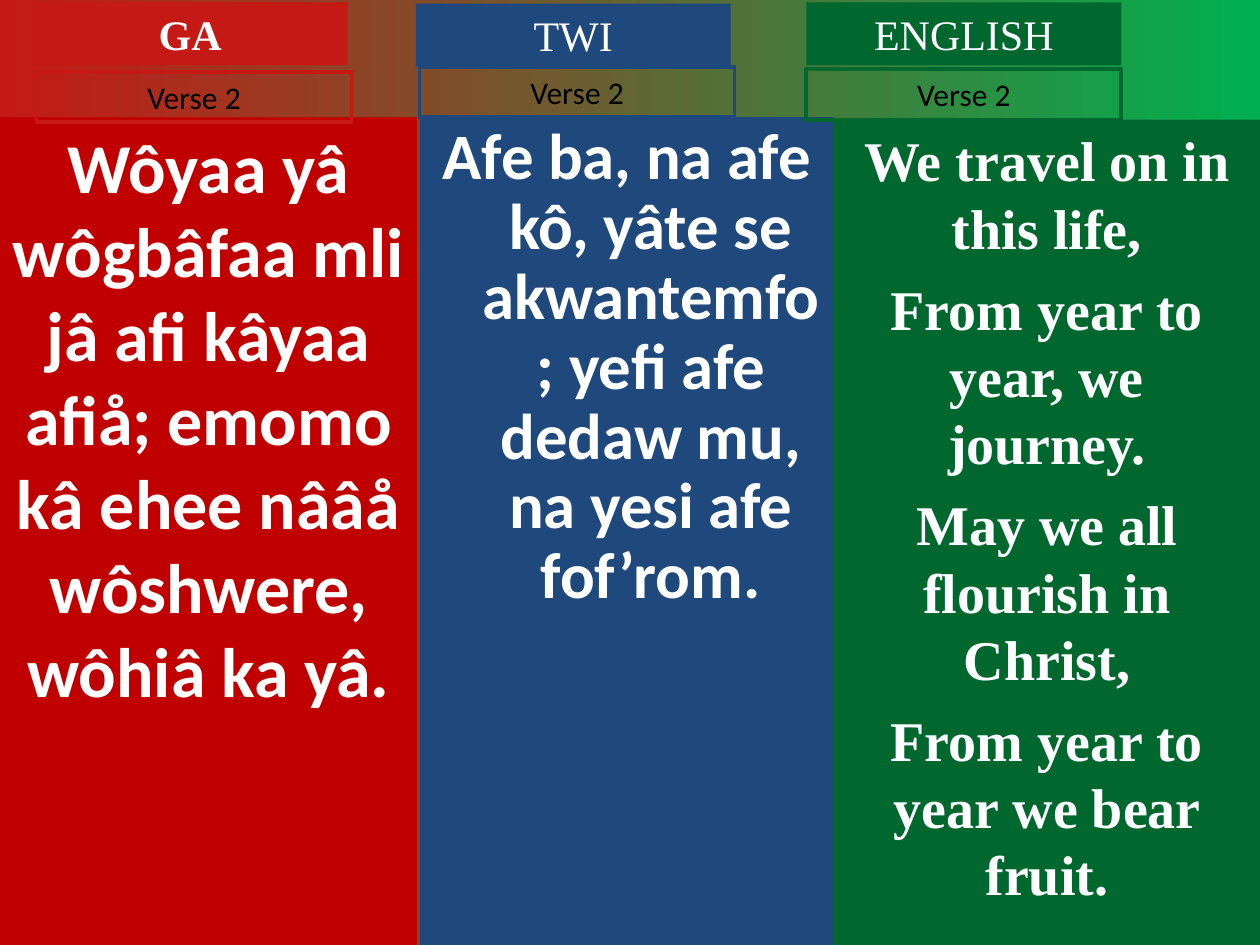
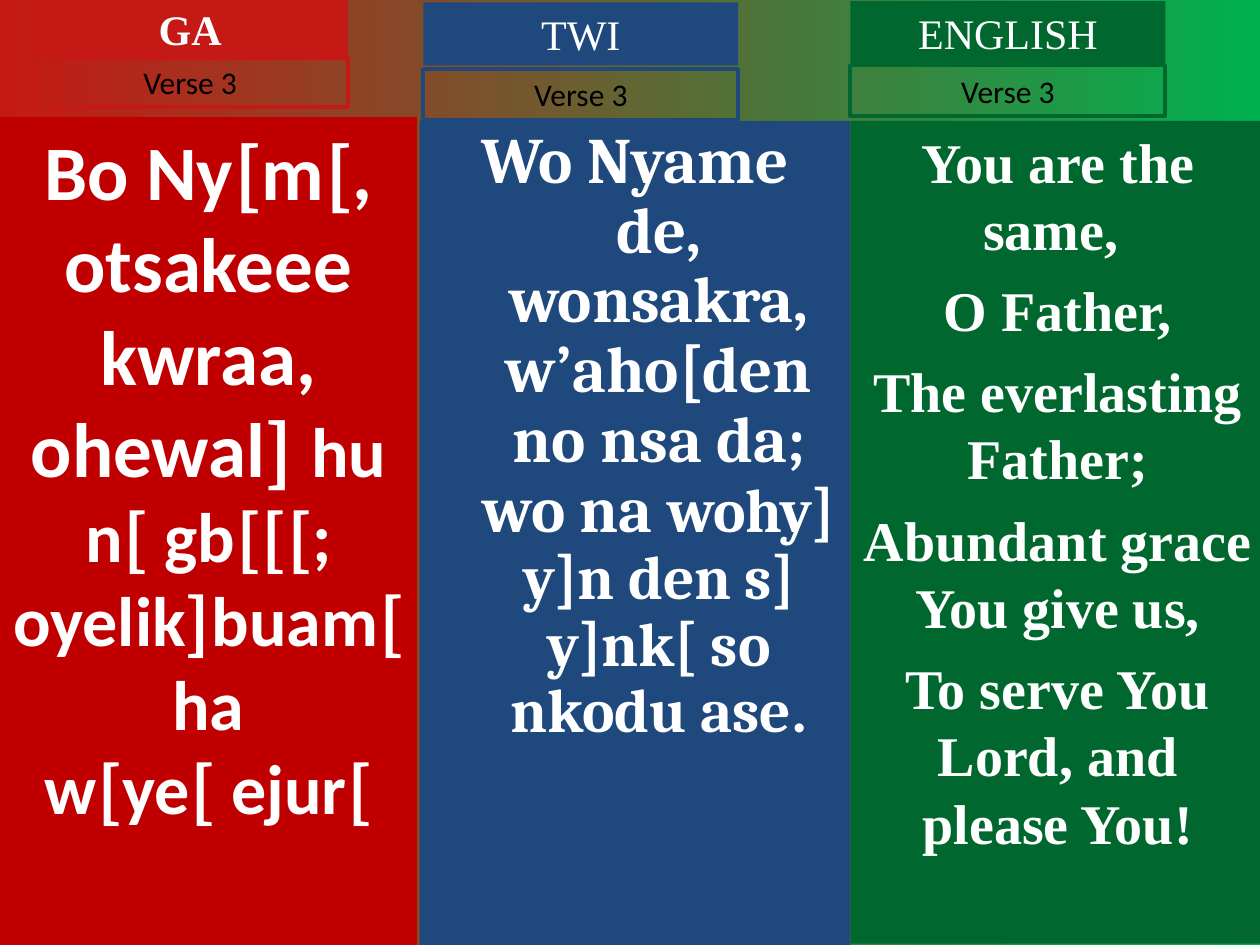
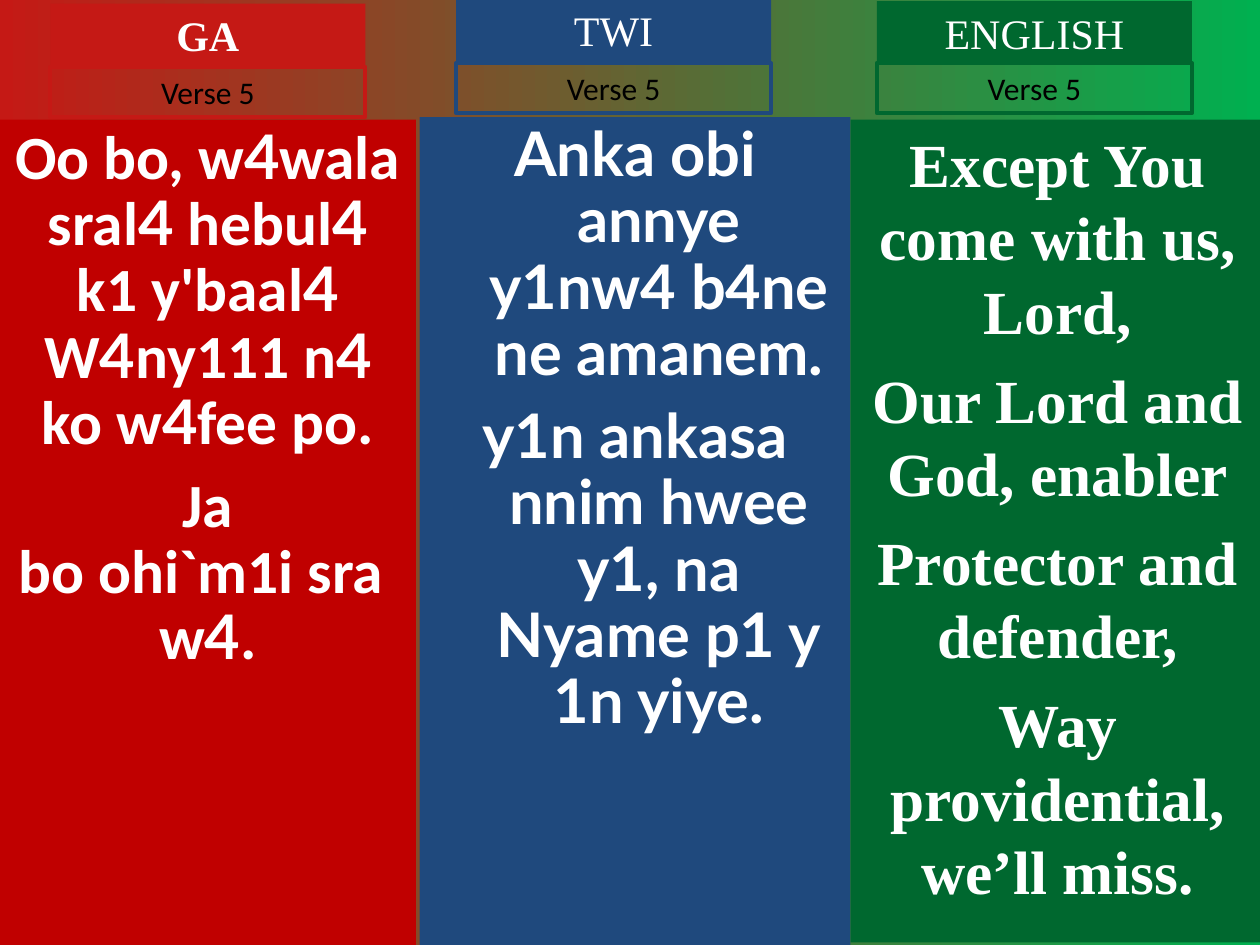
from itertools import groupby

from pptx import Presentation
from pptx.dml.color import RGBColor
from pptx.enum.text import MSO_ANCHOR, MSO_AUTO_SIZE, PP_ALIGN
from pptx.oxml.xmlchemy import OxmlElement
from pptx.util import Inches, Pt

RED = RGBColor(0xC5, 0x19, 0x15)
DARK_RED = RGBColor(0xC0, 0x00, 0x00)
BLUE = RGBColor(0x1F, 0x49, 0x7D)
GREEN = RGBColor(0x00, 0x68, 0x2F)
BRIGHT_GREEN = RGBColor(0x00, 0xB0, 0x50)
WHITE = RGBColor(0xFF, 0xFF, 0xFF)
BLACK = RGBColor(0x00, 0x00, 0x00)

CALIBRI, CAMBRIA, LATO, TIMES = "Calibri", "Cambria", "Lato", "Times New Roman"
NBSP = chr(160)

LANGUAGES = [
    {"name": "GA", "color": RED, "panel": DARK_RED, "bold": True, "hang": 0},
    {"name": "TWI", "color": BLUE, "panel": BLUE, "bold": False, "hang": 0.38},
    {"name": "ENGLISH", "color": GREEN, "panel": GREEN, "bold": False, "hang": 0},
]


def mixed(text, size, symbols, symbol_font):
    return [("".join(chars), size, symbol_font if is_symbol else CALIBRI)
            for is_symbol, chars in groupby(text, lambda ch: ch in symbols)]


def lines(size, font, *texts):
    return [[(text, size, font)] for text in texts]


VERSES = [
    ("Verse 2", [
        {"box": (0, 0.93, 3.31, 6.57), "head": (0.26, 0.02), "label": (0.29, 0.57),
         "text": lines(40, CALIBRI, "Wôyaa yâ wôgbâfaa mli jâ afi kâyaa afiå; "
                       "emomo kâ ehee nââå wôshwere, wôhiâ ka yâ.")},
        {"box": (3.33, 0.93, 3.29, 6.57), "head": (3.3, 0.03), "label": (3.33, 0.53),
         "spacing": 0.9,
         "text": lines(37, CALIBRI, "Afe ba, na afe kô, yâte se akwantemfo; "
                       "yefi afe dedaw mu, na yesi afe fof’rom.")},
        {"box": (6.61, 0.95, 3.4, 6.57), "head": (6.4, 0.02), "label": (6.4, 0.55),
         "text": lines(32, TIMES, "We travel on in this life,",
                       "From year to year, we journey.",
                       "May we all flourish in Christ,",
                       "From year to year we bear fruit.")},
    ]),
    ("Verse 3", [
        {"box": (0, 0.93, 3.31, 6.57), "head": (0.26, -0.02), "label": (0.26, 0.45),
         "text": [mixed("Bo Ny[m[, otsakeee kwraa, ohewal] ", 44, "[]", CAMBRIA)
                  + mixed("hu n[ gb[[[; oyelik]buam[ ha w[ye[ ejur[", 40, "[]", CAMBRIA)]},
        {"box": (3.33, 0.96, 3.42, 6.54), "head": (3.36, 0.02), "label": (3.36, 0.55),
         "spacing": 0.9,
         "text": [[("Wo Nyame de, wonsakra, w’aho[den no nsa da; wo na ", 37, CAMBRIA),
                   ("wohy] y]n den s] y]nk[ so nkodu ase", 35.1, CAMBRIA),
                   (".", 35.1, CALIBRI)]]},
        {"box": (6.75, 0.96, 3.29, 6.53), "head": (6.75, 0.01), "label": (6.75, 0.52),
         "text": lines(32, TIMES, "You are the same, ", "O Father,",
                       "The everlasting Father;", "Abundant grace You give us,",
                       "To serve You Lord, and please You!")},
    ]),
    ("Verse 5", [
        {"box": (0, 0.95, 3.3, 6.55), "head": (0.4, 0.03), "label": (0.4, 0.53),
         "spacing": 0.9, "before": 9.5,
         "text": [mixed(text, 35.1, "4", LATO) for text in (
             "Oo bo, w4wala sral4 hebul4 k1 y'baal4 W4ny111 n4 ko w4fee po.",
             "Ja " + NBSP.join(["bo", "ohi`m1i", "sra", "w4."]))]},
        {"box": (3.33, 0.93, 3.42, 6.57), "head": (3.62, -0.01), "label": (3.62, 0.5),
         "spacing": 0.9, "before": 9.5,
         "text": lines(35.1, LATO, "Anka obi annye y1nw4 b4ne ne amanem.",
                       "y1n ankasa nnim hwee y1, na "
                       + NBSP.join(["Nyame", "p1", "y1n", "yiye."]))},
        {"box": (6.75, 0.95, 3.29, 6.53), "head": (6.96, 0.01), "label": (6.96, 0.5),
         "before": 8.8,
         "text": lines(35, TIMES, "Except You come with us, Lord,",
                       "Our Lord and God, enabler", "Protector and defender,",
                       "Way providential, we’ll miss.")},
    ]),
]


class Deck:
    def __init__(self):
        self.prs = Presentation()
        self.prs.slide_width, self.prs.slide_height = Inches(10), Inches(7.5)
        fill = self.prs.slide_master.background.fill
        fill.gradient()
        fill.gradient_angle = 0
        for stop, color in zip(fill.gradient_stops, (RED, BRIGHT_GREEN)):
            stop.color.rgb = color

    def new_slide(self):
        self.s = self.prs.slides.add_slide(self.prs.slide_layouts.get_by_name("Two Content"))
        title, *self.bodies = self.s.placeholders
        title.element.getparent().remove(title.element)

    def add_run(self, p, text, size, font, color, bold):
        r = p.add_run()
        r.text = text
        for name, value in {"size": Pt(size), "name": font, "bold": bold}.items():
            setattr(r.font, name, value)
        r.font.color.rgb = color

    def frame(self, sp, auto_size):
        tf = sp.text_frame
        style = {"word_wrap": True, "auto_size": auto_size,
                 "vertical_anchor": MSO_ANCHOR.TOP}
        for name, value in style.items():
            setattr(tf, name, value)
        return tf

    def panel(self, box, paragraphs, color, hang, spacing=1.0, before=8):
        left, top, width, height = (Inches(v) for v in box)
        if self.bodies:
            sp = self.bodies.pop(0)
            sp.left, sp.top, sp.width, sp.height = left, top, width, height
        else:
            sp = self.s.shapes.add_textbox(left, top, width, height)
        sp.fill.solid()
        sp.fill.fore_color.rgb = color
        tf = self.frame(sp, MSO_AUTO_SIZE.NONE)
        for i, runs in enumerate(paragraphs):
            p = tf.add_paragraph() if i else tf.paragraphs[0]
            pPr = p._p.get_or_add_pPr()
            pPr.set("marL", str(Inches(hang)))
            pPr.set("indent", str(-Inches(hang)))
            pPr.append(OxmlElement("a:buNone"))
            style = {"alignment": PP_ALIGN.CENTER, "line_spacing": spacing,
                     "space_before": Pt(before if i else 0)}
            for name, value in style.items():
                setattr(p, name, value)
            for run in runs:
                self.add_run(p, *run, WHITE, True)

    def tag(self, at, height, text, size, font, color, bold=False):
        left, top = at
        sp = self.s.shapes.add_textbox(Inches(left), Inches(top), Inches(2.5), Inches(height))
        p = self.frame(sp, MSO_AUTO_SIZE.SHAPE_TO_FIT_TEXT).paragraphs[0]
        p.alignment = PP_ALIGN.CENTER
        self.add_run(p, text, size, font, color, bold)
        return sp

    def heading(self, at, text, color, bold):
        sp = self.tag(at, 0.5, text, 24, TIMES, WHITE, bold)
        sp.fill.solid()
        sp.fill.fore_color.rgb = color

    def verse_label(self, at, text, color):
        sp = self.tag(at, 0.4, text, 18, CALIBRI, BLACK)
        sp.line.color.rgb = color
        sp.line.width = Pt(2.25)


def main():
    deck = Deck()
    for verse, columns in VERSES:
        deck.new_slide()
        for lang, col in zip(LANGUAGES, columns):
            deck.panel(col["box"], col["text"], lang["panel"], lang["hang"],
                       col.get("spacing", 1.0), col.get("before", 8))
            deck.heading(col["head"], lang["name"], lang["color"], lang["bold"])
            deck.verse_label(col["label"], verse, lang["color"])
    deck.prs.save("out.pptx")


if __name__ == "__main__":
    main()
